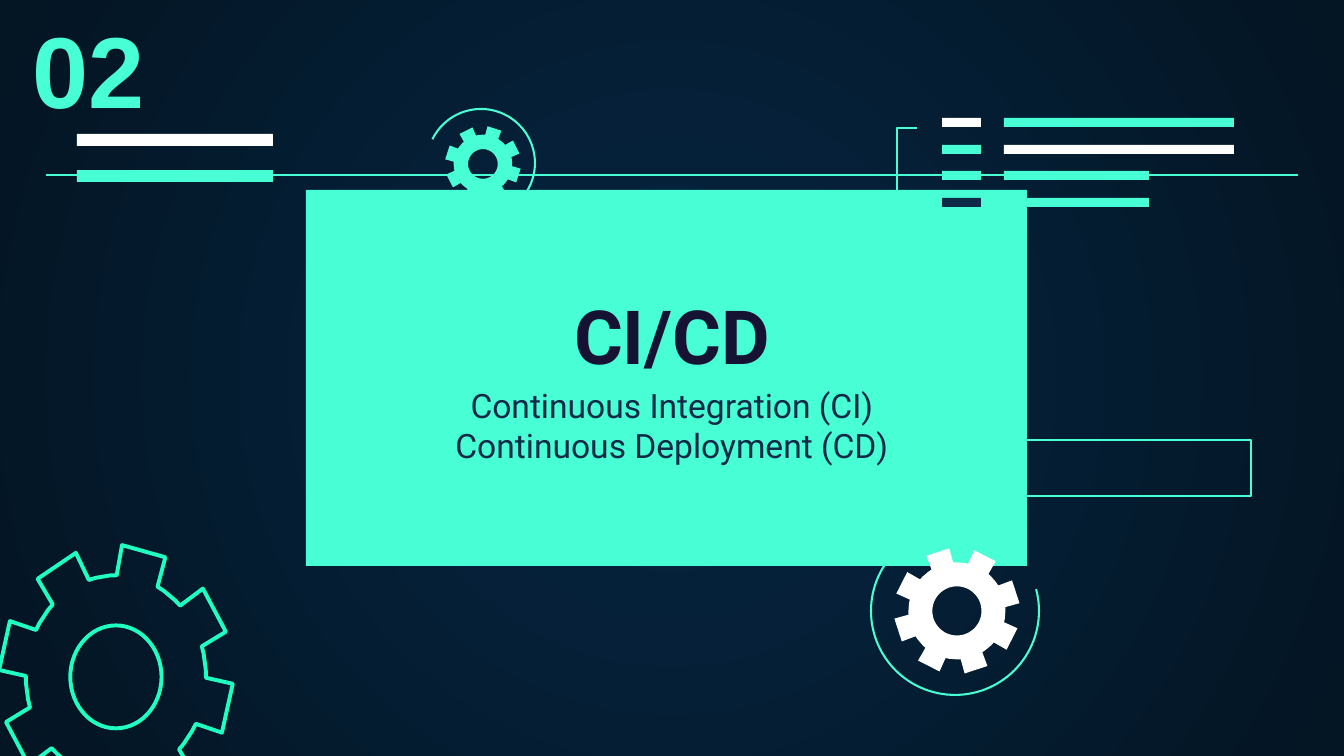
import math

import lxml.etree
import pptx
import pptx.dml.color
import pptx.enum.shapes
import pptx.enum.text
import pptx.oxml.ns
import pptx.util

MINT, AQUA, WHITE, NAVY, INK = "48FFD5", "1EFFC1", "FFFFFF", "0E2A47", "161234"
ALIGN = pptx.enum.text.PP_ALIGN
ANCHOR = pptx.enum.text.MSO_ANCHOR
qn = pptx.oxml.ns.qn


def px(length):
    return pptx.util.Emu(round(length * 914400 / 134.4))


def rgb(color):
    return pptx.dml.color.RGBColor.from_string(color)


def ellipse_point(cx, cy, rx, ry, degrees):
    angle = math.radians(degrees)
    return cx + rx * math.cos(angle), cy + ry * math.sin(angle)


def write(frame, text, *, size, color, font="Roboto", bold=False,
          align=ALIGN.CENTER, anchor=ANCHOR.TOP):
    frame.auto_size = pptx.enum.text.MSO_AUTO_SIZE.NONE
    frame.word_wrap = True
    frame.vertical_anchor = anchor
    frame.margin_left = frame.margin_right = pptx.util.Inches(0.1)
    frame.margin_top = frame.margin_bottom = pptx.util.Inches(0.1)
    paragraph = frame.paragraphs[0]
    paragraph.text = text
    paragraph.alignment = align
    paragraph.space_before = pptx.util.Pt(0)
    paragraph.line_spacing = 1.0
    for run in paragraph.runs:
        run.font.name = font
        run.font.size = pptx.util.Pt(size)
        run.font.bold = bold
        run.font.color.rgb = rgb(color)


class Canvas:
    """Draws flat shapes in pixel units on one slide."""

    thin = 1.1

    def __init__(self, slide):
        self.slide = slide
        self.shapes = slide.shapes

    def background(self, center, edge):
        fill = self.slide.background.fill
        fill.gradient()
        for stop, color, position in zip(fill.gradient_stops, (center, edge), (0, 1)):
            stop.color.rgb = rgb(color)
            stop.position = position
        linear = self.slide.element.find(".//" + qn("a:lin"))
        gradient = linear.getparent()
        radial = lxml.etree.Element(qn("a:path"), path="circle")
        lxml.etree.SubElement(radial, qn("a:fillToRect"), l="50000", t="50000",
                              r="50000", b="50000")
        gradient.replace(linear, radial)

    def paint(self, shape, fill, line, width):
        shape.shadow.inherit = False
        if fill:
            shape.fill.solid()
            shape.fill.fore_color.rgb = rgb(fill)
        else:
            shape.fill.background()
        if line:
            shape.line.color.rgb = rgb(line)
            shape.line.width = pptx.util.Pt(width)
        else:
            shape.line.fill.background()

    def rectangle(self, x, y, w, h, fill=None, line=None):
        kind = pptx.enum.shapes.MSO_SHAPE.RECTANGLE
        shape = self.shapes.add_shape(kind, px(x), px(y), px(w), px(h))
        self.paint(shape, fill, line, self.thin)

    def outline(self, *contours, closed=False, fill=None, line=None, width=thin):
        builder = None
        for contour in contours:
            start, *rest = [(px(x), px(y)) for x, y in contour]
            if builder is None:
                builder = self.shapes.build_freeform(*start, scale=1.0)
            else:
                builder.move_to(*start)
            builder.add_line_segments(rest, close=closed)
        self.paint(builder.convert_to_shape(), fill, line, width)

    def arc(self, cx, cy, radius, start, end):
        points = [ellipse_point(cx, cy, radius, radius, a) for a in range(start, end + 1, 3)]
        self.outline(points, line=MINT)

    def gear(self, cx, cy, rx, ry, phase, **style):
        rim = []
        for tooth in range(8):
            middle = phase + 45 * tooth
            steps = [(-13.5, 0.77), (-11, 1), (11, 1), (13.5, 0.77), (18, 0.77), (27, 0.77)]
            rim += [ellipse_point(cx, cy, rx * reach, ry * reach, middle + turn)
                    for turn, reach in steps]
        hole = [ellipse_point(cx, cy, rx * 0.39, ry * 0.39, a) for a in range(360, 0, -6)]
        self.outline(rim, hole, closed=True, **style)

    def rule(self, x1, x2, y):
        kind = pptx.enum.shapes.MSO_CONNECTOR.STRAIGHT
        connector = self.shapes.add_connector(kind, px(x1), px(y), px(x2), px(y))
        connector.line.color.rgb = rgb(MINT)
        connector.line.width = pptx.util.Pt(0.75)
        lxml.etree.SubElement(connector.element.spPr, qn("a:effectLst"))

    def placeholder(self, index, x, y, w, h, text, **style):
        shape = self.slide.placeholders[index]
        shape.left, shape.top, shape.width, shape.height = px(x), px(y), px(w), px(h)
        write(shape.text_frame, text, **style)
        shape.element.getparent().append(shape.element)

    def label(self, x, y, w, h, text, **style):
        box = self.shapes.add_textbox(px(x), px(y), px(w), px(h))
        write(box.text_frame, text, **style)


def main():
    deck = pptx.Presentation()
    deck.slide_width, deck.slide_height = px(1344), px(756)
    canvas = Canvas(deck.slides.add_slide(deck.slide_layouts[0]))
    canvas.background("052643", "041523")

    canvas.rectangle(306, 190, 721, 376, MINT)
    canvas.arc(481, 163, 54, -154, 95)
    canvas.arc(955, 611, 84, -15, 233)
    canvas.gear(116, 677, 117, 132, 14, line=AQUA, width=2.1)
    canvas.gear(957, 611, 63, 63, -18, fill=WHITE)
    canvas.gear(483, 164, 38, 38, 18, fill=MINT)

    code_lines = [(WHITE, 230, MINT), (MINT, 230, WHITE), (MINT, 145, MINT), (NAVY, 145, MINT)]
    for row, (marker, length, color) in enumerate(code_lines):
        y = 118 + round(row * 26.6)
        canvas.rectangle(942, y, 39, 9, marker)
        canvas.rectangle(1004, y, length, 9, color)
    canvas.outline([(918, 209), (897, 209), (897, 128), (917, 128)], line=MINT)
    for y, color in ((134, WHITE), (170, MINT)):
        canvas.rectangle(77, y, 196, 12, color)
    canvas.rectangle(968, 440, 283, 56, line=MINT)

    canvas.placeholder(0, 413, 372, 518, 107,
                       "Continuous Integration (CI)\vContinuous Deployment (CD)",
                       size=18, color=NAVY, anchor=ANCHOR.BOTTOM)
    canvas.placeholder(1, 418, 276, 508, 106, "CI/CD", size=40, color=INK, bold=True)
    canvas.rule(46, 1298, 175)
    canvas.label(19, 13, 140, 129, "02", size=54, color=MINT, font="Arial", bold=True,
                 align=ALIGN.LEFT, anchor=ANCHOR.BOTTOM)
    deck.save("out.pptx")


if __name__ == "__main__":
    main()
